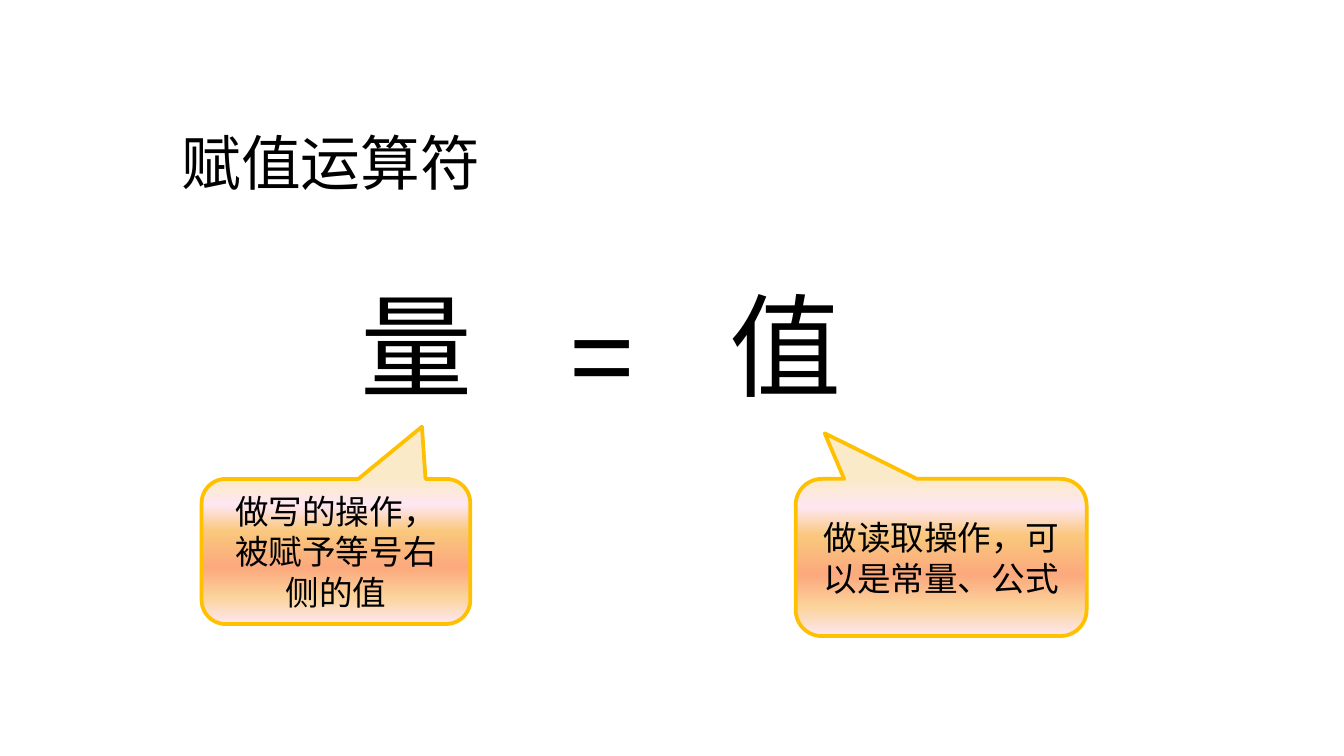
import lxml.etree
import pptx
import pptx.dml.color
import pptx.enum.shapes
import pptx.enum.text
import pptx.oxml.ns
import pptx.util

WIDTH = 10
HEIGHT = WIDTH * 9 / 16
COLOURS = {
    "text": "000000",
    "border": "FFC000",
    "cream": "FBEAC7",
    "pink": "FEE7F2",
    "amber": "FAC77D",
    "coral": "FBA97D",
    "sand": "FBD49C",
}
GRADIENT = [(0, "cream"), (18, "pink"), (36, "amber"),
            (61, "coral"), (82, "sand"), (100, "pink")]
CJK_FONT = "Noto Sans CJK SC"


def colour(name):
    return pptx.dml.color.RGBColor.from_string(COLOURS[name])


def area(left, top, width, height):
    """Turn percentages of the slide's width and height into lengths."""
    shares = zip((left, top, width, height), (WIDTH, HEIGHT) * 2)
    return [pptx.util.Inches(share * side / 100) for share, side in shares]


def write(shape, text, size, font, align="LEFT", anchor="TOP", wrap=True,
          spacing=1.0):
    frame = shape.text_frame
    frame.word_wrap = wrap
    frame.vertical_anchor = pptx.enum.text.MSO_ANCHOR[anchor]
    para = frame.paragraphs[0]
    para.alignment = pptx.enum.text.PP_ALIGN[align]
    para.line_spacing = spacing
    span = para.add_run()
    span.text = text
    span.font.size = pptx.util.Pt(size)
    span.font.name = font
    span.font.color.rgb = colour("text")
    east_asian = lxml.etree.Element(pptx.oxml.ns.qn("a:ea"), typeface=CJK_FONT)
    span.font._element.find(pptx.oxml.ns.qn("a:latin")).addnext(east_asian)


def add_title(page, text, place):
    title = page.shapes.title
    title.left, title.top, title.width, title.height = area(*place)
    write(title, text, size=32, font="Calibri", anchor="MIDDLE", spacing=0.9)


def add_symbol(page, text, place):
    box = page.shapes.add_textbox(*area(*place))
    write(box, text, size=60, font="Arial", wrap=False)
    box.text_frame.auto_size = pptx.enum.text.MSO_AUTO_SIZE.SHAPE_TO_FIT_TEXT


def fill_gradient(shape):
    """Fill from top to bottom with all the stops of GRADIENT."""
    qn = pptx.oxml.ns.qn
    shape.fill.gradient()
    shape.fill.gradient_angle = 270
    stops = shape._element.spPr.find(".//" + qn("a:gsLst"))
    for stop in list(stops):
        stops.remove(stop)
    for percent, name in GRADIENT:
        stop = lxml.etree.SubElement(stops, qn("a:gs"), pos=str(percent * 1000))
        lxml.etree.SubElement(stop, qn("a:srgbClr"), val=COLOURS[name])


def add_callout(page, text, place, tip):
    kind = pptx.enum.shapes.MSO_SHAPE.ROUNDED_RECTANGULAR_CALLOUT
    callout = page.shapes.add_shape(kind, *area(*place))
    callout.shadow.inherit = False
    callout.adjustments[0], callout.adjustments[1] = tip
    fill_gradient(callout)
    callout.line.color.rgb = colour("border")
    callout.line.width = pptx.util.Pt(2)
    write(callout, text, size=18, font=CJK_FONT, align="CENTER", anchor="MIDDLE")


def main():
    deck = pptx.Presentation()
    deck.slide_width = pptx.util.Inches(WIDTH)
    deck.slide_height = pptx.util.Inches(HEIGHT)
    page = deck.slides.add_slide(deck.slide_layouts.get_by_name("Title Only"))

    add_title(page, "赋值运算符", (12.5, 16, 60.8, 11.9))
    add_symbol(page, "=", (41.4, 36.6, 6.9, 19.75))
    add_symbol(page, "量", (25.85, 35.7, 10.4, 19.75))
    add_symbol(page, "值", (53.3, 35.7, 10.4, 19.75))
    add_callout(page, "做读取操作，可以是常量、公式",
                (59.2, 63.35, 21.65, 20.8), tip=(-0.4, -0.79))
    add_callout(page, "做写的操作，被赋予等号右侧的值",
                (15, 63.35, 20, 19.2), tip=(0.32, -0.86))

    deck.save("out.pptx")


if __name__ == "__main__":
    main()
